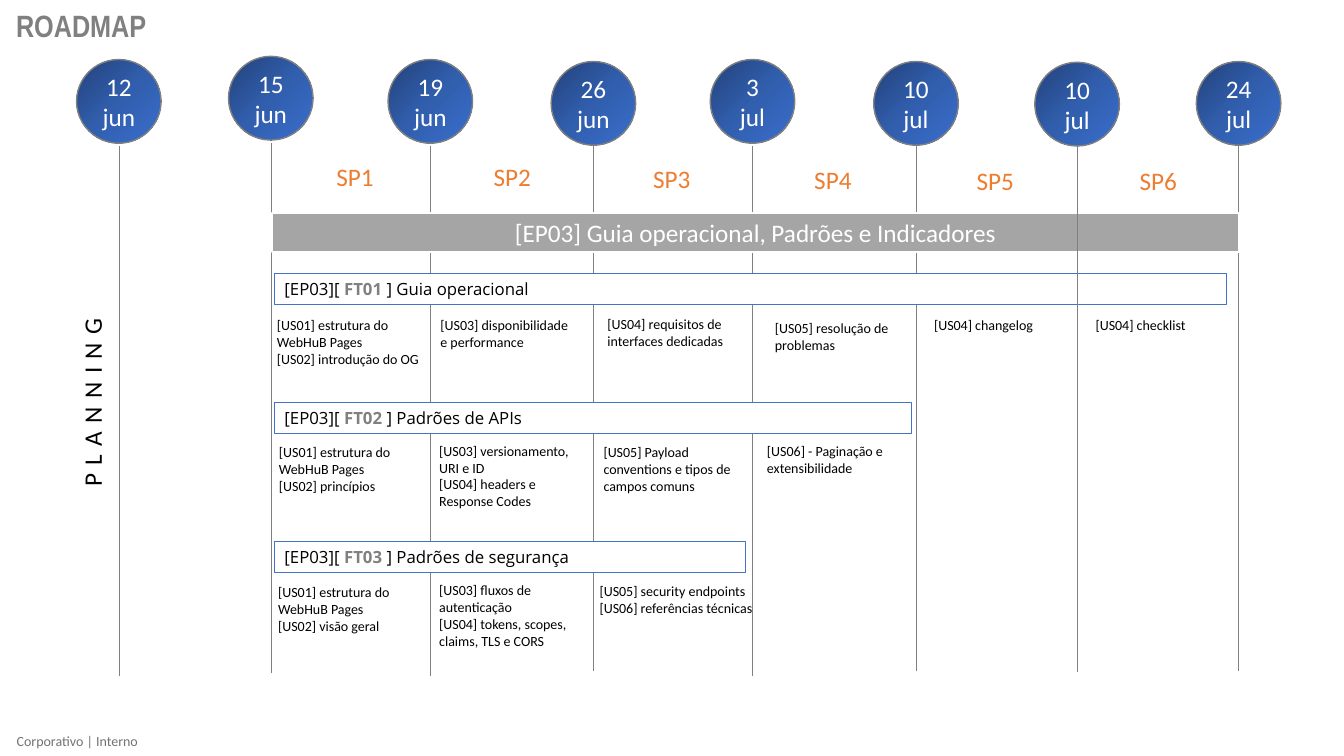
from copy import deepcopy
from lxml.etree import SubElement
from pptx import Presentation
from pptx.dml.color import RGBColor
from pptx.enum.shapes import MSO_CONNECTOR, MSO_SHAPE
from pptx.enum.text import MSO_ANCHOR, PP_ALIGN
from pptx.oxml.ns import qn
from pptx.util import Cm, Pt

COLORS = {
    "text": "000000", "white": "FFFFFF", "gray": "808080", "footer": "737373",
    "banner": "A5A5A5", "sprint": "ED7D31", "feature": "4472C4",
    "dark": "23427A", "middle": "315EAD", "light": "3A6FCE",
}


def color(name):
    return RGBColor.from_string(COLORS[name])


def write(shape, lines, size, font="Calibri", align=PP_ALIGN.LEFT,
          anchor=MSO_ANCHOR.TOP, wrap=True):
    """Each line is a list of (text, color name, bold) spans."""
    frame = shape.text_frame
    frame.word_wrap = wrap
    frame.vertical_anchor = anchor
    for index, line in enumerate(lines):
        para = frame.add_paragraph() if index else frame.paragraphs[0]
        para.alignment = align
        for text, tone, bold in line:
            span = para.add_run()
            span.text = text
            span.font.name = font
            span.font.size = Pt(size)
            span.font.bold = bold
            span.font.color.rgb = color(tone)


def add_milestone(day, month, center, top, line_top, line_bottom):
    line = page.shapes.add_connector(
        MSO_CONNECTOR.STRAIGHT, Cm(center), Cm(line_top), Cm(center), Cm(line_bottom))
    line.line.color.rgb = color("gray")
    line.line.width = Pt(0.5)
    SubElement(line._element.spPr, qn("a:effectLst"))

    circle = page.shapes.add_shape(
        MSO_SHAPE.OVAL, Cm(center - 1.07), Cm(top), Cm(2.13), Cm(2.11))
    circle.shadow.inherit = False
    circle.fill.gradient()
    circle.fill.gradient_angle = 315
    stops = circle._element.spPr.find(qn("a:gradFill")).find(qn("a:gsLst"))
    stops.insert(1, deepcopy(stops[0]))
    for stop, tone, position in zip(
            circle.fill.gradient_stops, ("dark", "middle", "light"), (0, 0.5, 1)):
        stop.color.rgb = color(tone)
        stop.position = position
    circle.line.color.rgb = color("gray")
    circle.line.width = Pt(1)
    write(circle, [[(day, "white", False)], [(month, "white", False)]], 18,
          align=PP_ALIGN.CENTER, anchor=MSO_ANCHOR.MIDDLE)


deck = Presentation()
deck.slide_width, deck.slide_height = Cm(33.87), Cm(19.05)
page = deck.slides.add_slide(deck.slide_layouts[5])

# Title
title = page.shapes.title
title.left, title.top, title.width, title.height = Cm(0.15), Cm(0.05), Cm(26.34), Cm(1.19)
write(title, [[("ROADMAP", "gray", True)]], 22, "Arial Narrow")

# Footer
footer = page.shapes.add_textbox(Cm(0), Cm(18.31), Cm(3.91), Cm(0.74))
footer.text_frame.margin_left = Cm(0.42)
footer.text_frame.margin_right = 0
write(footer, [[("Corporativo | Interno", "footer", False)]], 10,
      anchor=MSO_ANCHOR.MIDDLE, wrap=False)

# Milestones behind the bars
for milestone in (
    ("12", "jun", 3.00, 1.50, 3.68, 17.04),
    ("15", "jun", 6.83, 1.42, 3.61, 16.97),
    ("19", "jun", 10.85, 1.50, 3.68, 17.04),
    ("26", "jun", 14.96, 1.55, 3.66, 16.92),
    ("3", "jul", 18.97, 1.50, 3.68, 17.04),
    ("10", "jul", 23.09, 1.55, 3.66, 16.92),
    ("24", "jul", 31.22, 1.55, 3.66, 16.92),
):
    add_milestone(*milestone)

# Planning label
planning = page.shapes.add_textbox(Cm(-0.18), Cm(9.5), Cm(5), Cm(1.02))
planning.rotation = 270
write(planning, [[("PLANNING", "text", False)]], 18, wrap=False)
planning.text_frame.paragraphs[0].runs[0].font._element.set("spc", "600")

# Epic banner
banner = page.shapes.add_shape(MSO_SHAPE.RECTANGLE, Cm(6.86), Cm(5.36), Cm(24.36), Cm(0.99))
banner.shadow.inherit = False
banner.fill.solid()
banner.fill.fore_color.rgb = color("banner")
banner.line.color.rgb = color("white")
banner.line.width = Pt(1.5)
write(banner, [[("[EP03] Guia operacional, Padrões e Indicadores", "white", False)]], 18,
      align=PP_ALIGN.CENTER, anchor=MSO_ANCHOR.MIDDLE)

# Feature bars
for code, name, top, width in (
    ("FT01", "Guia operacional", 6.9, 23.98),
    ("FT02", "Padrões de APIs", 10.15, 16.05),
    ("FT03", "Padrões de segurança", 13.65, 11.86),
):
    bar = page.shapes.add_shape(MSO_SHAPE.RECTANGLE, Cm(6.92), Cm(top), Cm(width), Cm(0.77))
    bar.shadow.inherit = False
    bar.fill.solid()
    bar.fill.fore_color.rgb = color("white")
    bar.line.color.rgb = color("feature")
    bar.line.width = Pt(0.75)
    write(bar, [[("[EP03][ ", "text", False), (code, "gray", True),
                 (f" ] {name}", "text", False)]], 12, "Open Sans")

# Milestone in front of the bars
add_milestone("10", "jul", 27.15, 1.57, 3.68, 16.94)

# Sprint labels
sprints = ((8.23, 3.94), (12.19, 3.94), (16.21, 3.99),
           (20.27, 4.01), (24.36, 4.04), (28.47, 4.04))
for number, (left, top) in enumerate(sprints, 1):
    label = page.shapes.add_textbox(Cm(left), Cm(top), Cm(1.47), Cm(1.02))
    write(label, [[(f"SP{number}", "sprint", False)]], 18, wrap=False)

# User stories
structure = "[US01] estrutura do WebHuB Pages"
for left, top, width, stories in (
    (6.73, 7.85, 4.27, [structure, "[US02] introdução do OG"]),
    (10.85, 7.85, 3.94, ["[US03] disponibilidade e performance"]),
    (15.06, 7.82, 3.94, ["[US04] requisitos de interfaces dedicadas"]),
    (19.28, 7.92, 3.94, ["[US05] resolução de problemas"]),
    (23.29, 7.85, 3.94, ["[US04] changelog"]),
    (27.36, 7.85, 3.94, ["[US04] checklist"]),
    (6.78, 11.05, 4.27, [structure, "[US02] princípios"]),
    (10.82, 11.02, 3.94, ["[US03] versionamento, URI e ID", "[US04] headers e Response Codes"]),
    (14.96, 11.05, 3.86, ["[US05] Payload conventions e tipos de campos comuns"]),
    (19.08, 11.02, 3.86, ["[US06] - Paginação e extensibilidade"]),
    (6.76, 14.58, 4.27, [structure, "[US02] visão geral"]),
    (10.82, 14.53, 3.94, ["[US03] fluxos de autenticação",
                          "[US04] tokens, scopes, claims, TLS e CORS"]),
    (14.86, 14.55, 4.6, ["[US05] security endpoints", "[US06] referências técnicas"]),
):
    box = page.shapes.add_textbox(Cm(left), Cm(top), Cm(width), Cm(0.42 * len(stories) + 0.26))
    write(box, [[(story, "text", False)] for story in stories], 10)

deck.save("out.pptx")
